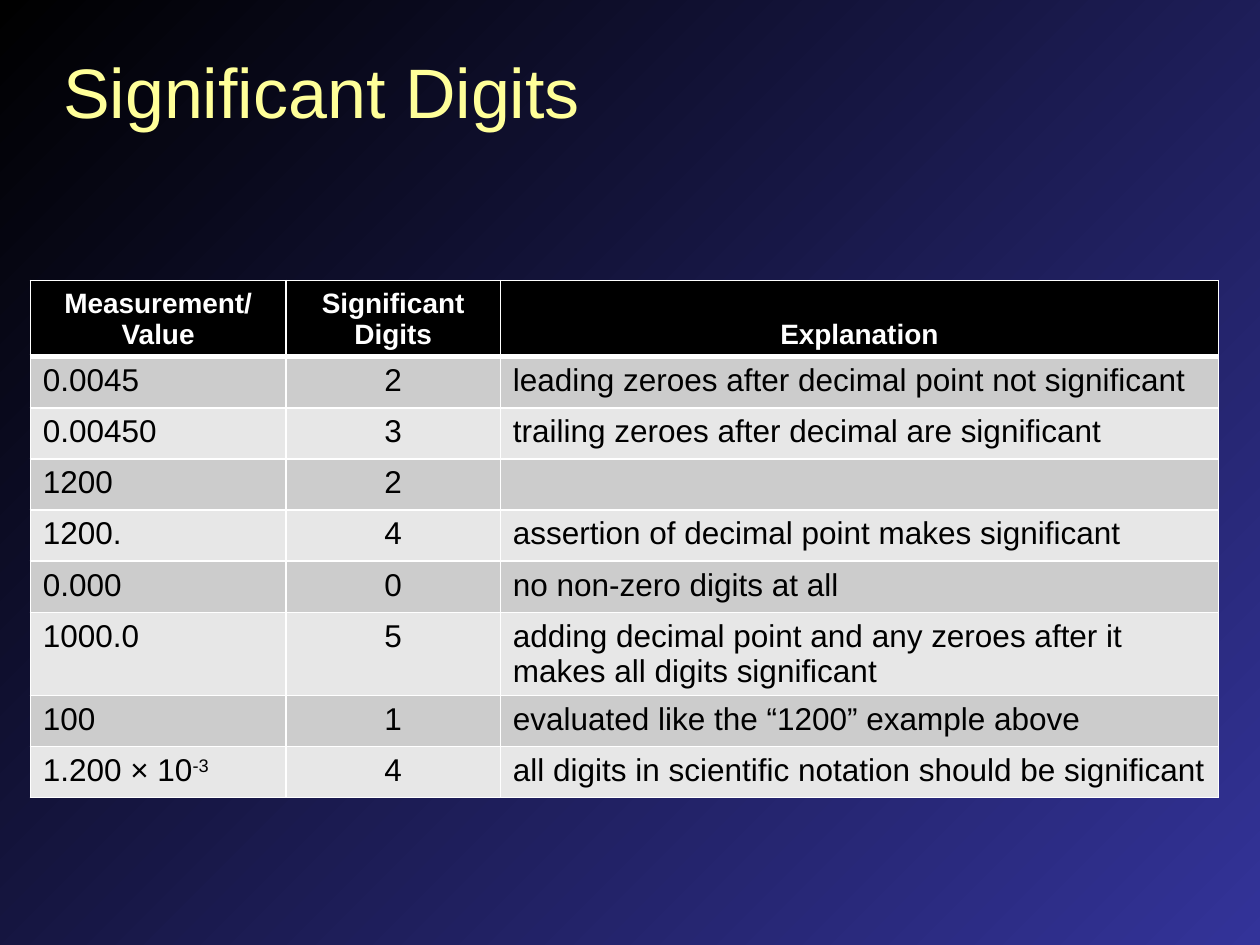
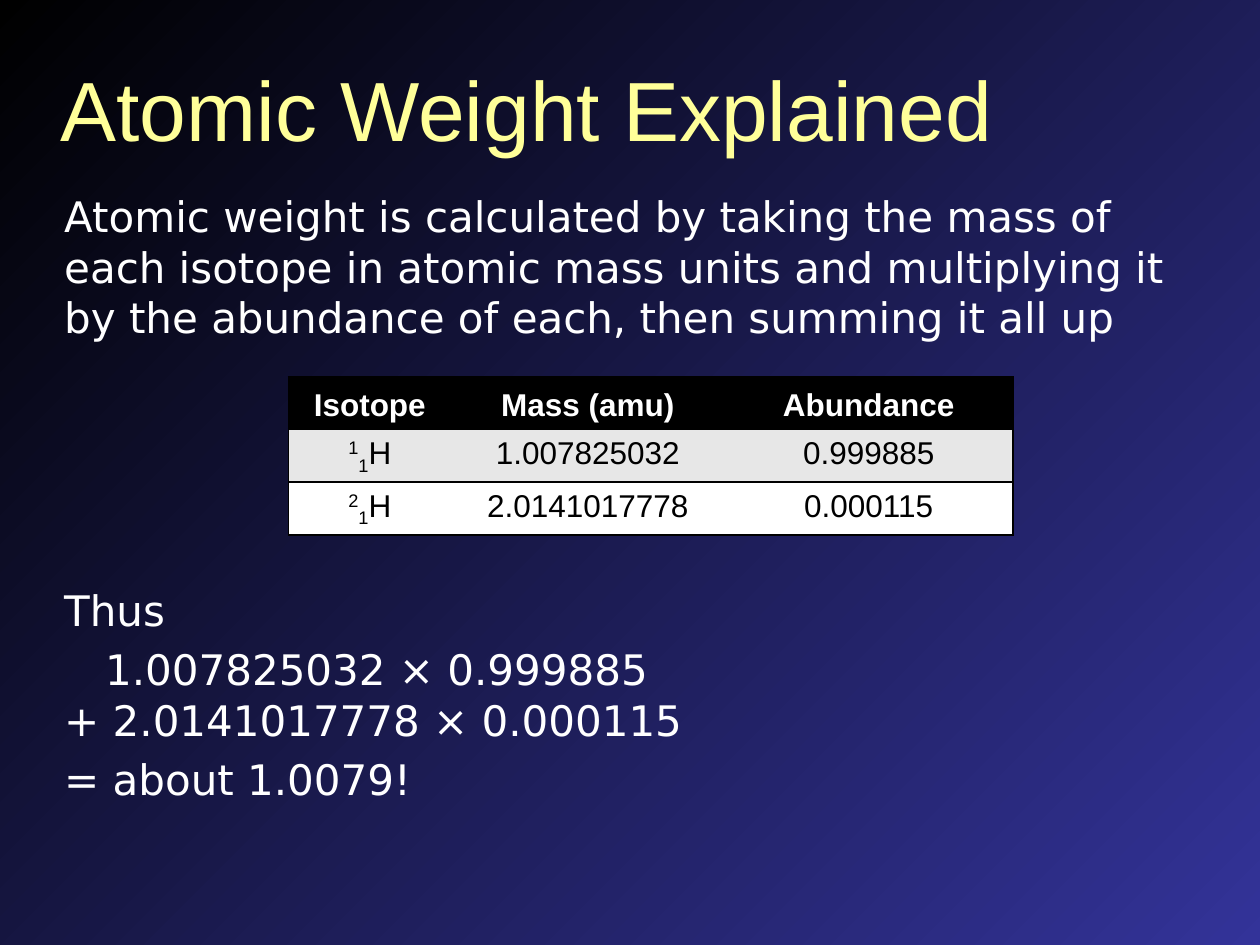
"""Build two slides on significant digits and atomic weight."""
from lxml import etree
from pptx import Presentation
from pptx.dml.color import RGBColor
from pptx.enum.text import MSO_ANCHOR, MSO_AUTO_SIZE, PP_ALIGN
from pptx.oxml.ns import qn
from pptx.util import Pt

LEFT, MID = PP_ALIGN.LEFT, PP_ALIGN.CENTER
TOP, MIDDLE, BOTTOM = MSO_ANCHOR.TOP, MSO_ANCHOR.MIDDLE, MSO_ANCHOR.BOTTOM
FIXED = MSO_AUTO_SIZE.NONE
NO_STYLE = "{2D5ABB26-0587-4C30-8999-92F81FD0307C}"

COLORS = {
    "black": "000000", "navy": "333399", "yellow": "FFFF99",
    "white": "FFFFFF", "gray": "CCCCCC", "pale": "E7E7E7",
}
SANS, BODY = "Arial", "DejaVu Sans"

DIGITS = [
    ("Measurement/Value", "Significant Digits", "Explanation"),
    ("0.0045", "2", "leading zeroes after decimal point not significant"),
    ("0.00450", "3", "trailing zeroes after decimal are significant"),
    ("1200", "2", ""),
    ("1200.", "4", "assertion of decimal point makes significant"),
    ("0.000", "0", "no non-zero digits at all"),
    ("1000.0", "5", "adding decimal point and any zeroes after it "
                    "makes all digits significant"),
    ("100", "1", "evaluated like the “1200” example above"),
    ([("1.200 × 10", 0), ("-3", 30)], "4",
     "all digits in scientific notation should be significant"),
]
ATOMS = [
    ("Isotope", "Mass (amu)", "Abundance"),
    ([("1", 30), ("1", -25), ("H", 0)], "1.007825032", "0.999885"),
    ([("2", 30), ("1", -25), ("H", 0)], "2.0141017778", "0.000115"),
]
STEPS = [
    {"text": "Atomic weight is calculated by taking the mass of each isotope "
             "in atomic mass units and multiplying it by the abundance of "
             "each, then summing it all up", "before": 0},
    {"text": "Thus", "before": 138.6},
    {"text": "1.007825032 × 0.999885\n+ 2.0141017778 × 0.000115",
     "before": 4.8, "indent": 23.4},
    {"text": "= about 1.0079!", "before": 4.8},
]


def color(name):
    """Look up a colour by name."""
    return RGBColor.from_string(COLORS[name])


def write(para, text, size=18, font=SANS, ink="black", bold=False,
          align=LEFT, before=0, pitch=None, indent=0):
    """Fill a paragraph with text or (text, baseline) parts."""
    para.alignment = align
    para.space_before = Pt(before)
    if pitch:
        para.line_spacing = Pt(pitch)
    props = para._p.get_or_add_pPr()
    props.set("marL", "0")
    props.set("indent", str(Pt(indent)))
    etree.SubElement(props, qn("a:buNone"))
    parts = [(text, 0)] if isinstance(text, str) else text
    for part, base in parts:
        for i, line in enumerate(part.split("\n")):
            if i:
                para.add_line_break()
            run = para.add_run()
            run.text = line
            run.font.size, run.font.name, run.font.bold = Pt(size), font, bold
            run.font.color.rgb = color(ink)
            if base:
                run._r.get_or_add_rPr().set("baseline", str(base * 1000))


def place(shape, left, top, width, height):
    """Set the box of a shape in points."""
    shape.left, shape.top = Pt(left), Pt(top)
    shape.width, shape.height = Pt(width), Pt(height)


def start(deck, layout, title, size, box):
    """Add a slide with its title."""
    slide = deck.slides.add_slide(deck.slide_layouts[layout])
    place(slide.shapes.title, *box)
    frame = slide.shapes.title.text_frame
    frame.auto_size, frame.vertical_anchor = FIXED, MIDDLE
    write(frame.paragraphs[0], title, size=size, ink="yellow")
    return slide


def edge(cell, side, name, width):
    """Draw one border of a cell."""
    line = etree.SubElement(cell._tc.get_or_add_tcPr(), qn("a:ln" + side),
                            w=str(Pt(width)))
    fill = etree.SubElement(line, qn("a:solidFill"))
    etree.SubElement(fill, qn("a:srgbClr"), val=COLORS[name])


def grid(slide, data, left, top, widths, heights, bands, aligns, rule,
         head=18, under=1, inner=True):
    """Add a table with a black head row and banded rows."""
    frame = slide.shapes.add_table(len(data), len(widths), Pt(left), Pt(top),
                                   Pt(sum(widths)), Pt(sum(heights)))
    table = frame.table
    table._tbl.tblPr.find(qn("a:tableStyleId")).text = NO_STYLE
    for col, width in zip(table.columns, widths):
        col.width = Pt(width)
    last = len(widths) - 1
    for r, row in enumerate(data):
        table.rows[r].height = Pt(heights[r])
        for c, text in enumerate(row):
            cell = table.cell(r, c)
            if inner or c == 0:
                edge(cell, "L", rule, 1)
            if inner or c == last:
                edge(cell, "R", rule, 1)
            edge(cell, "T", rule, under if r == 1 else 1)
            edge(cell, "B", rule, under if r == 0 else 1)
            cell.fill.solid()
            cell.fill.fore_color.rgb = color(
                bands[(r - 1) % 2] if r else "black")
            cell.vertical_anchor = TOP if r else BOTTOM
            write(cell.text_frame.paragraphs[0], text,
                  size=18 if r else head, bold=r == 0,
                  ink="black" if r else "white",
                  align=aligns[c] if r else MID)


def main():
    """Build and save the deck."""
    deck = Presentation()
    deck.slide_width, deck.slide_height = Pt(720), Pt(540)
    fill = deck.slide_master.background.fill
    fill.gradient()
    fill.gradient_angle = 315
    for stop, name in zip(fill.gradient_stops, ("black", "navy")):
        stop.color.rgb = color(name)

    slide = start(deck, 5, "Significant Digits", 40, (28.8, 23.8, 663, 55.4))
    tall = {0: 43.6, 6: 47.5}
    grid(slide, DIGITS, 17.3, 160.3, (146.2, 122.4, 410.4),
         [tall.get(r, 29.2) for r in range(len(DIGITS))],
         ("gray", "pale"), (LEFT, MID, LEFT), "white", head=16, under=3)

    slide = start(deck, 1, "Atomic Weight Explained", 48,
                  (27.4, 28.8, 663, 65.5))
    body = slide.placeholders[1]
    place(body, 29.5, 105.1, 660.2, 410.4)
    frame = body.text_frame
    frame.auto_size = FIXED
    for i, step in enumerate(STEPS):
        para = frame.add_paragraph() if i else frame.paragraphs[0]
        write(para, size=24, font=BODY, ink="white", pitch=28.9, **step)
    grid(slide, ATOMS, 164.9, 215.3, (92.9, 156.2, 164.9), [30] * len(ATOMS),
         ("pale", "white"), (MID, MID, MID), "black", inner=False)
    deck.save("out.pptx")


if __name__ == "__main__":
    main()
